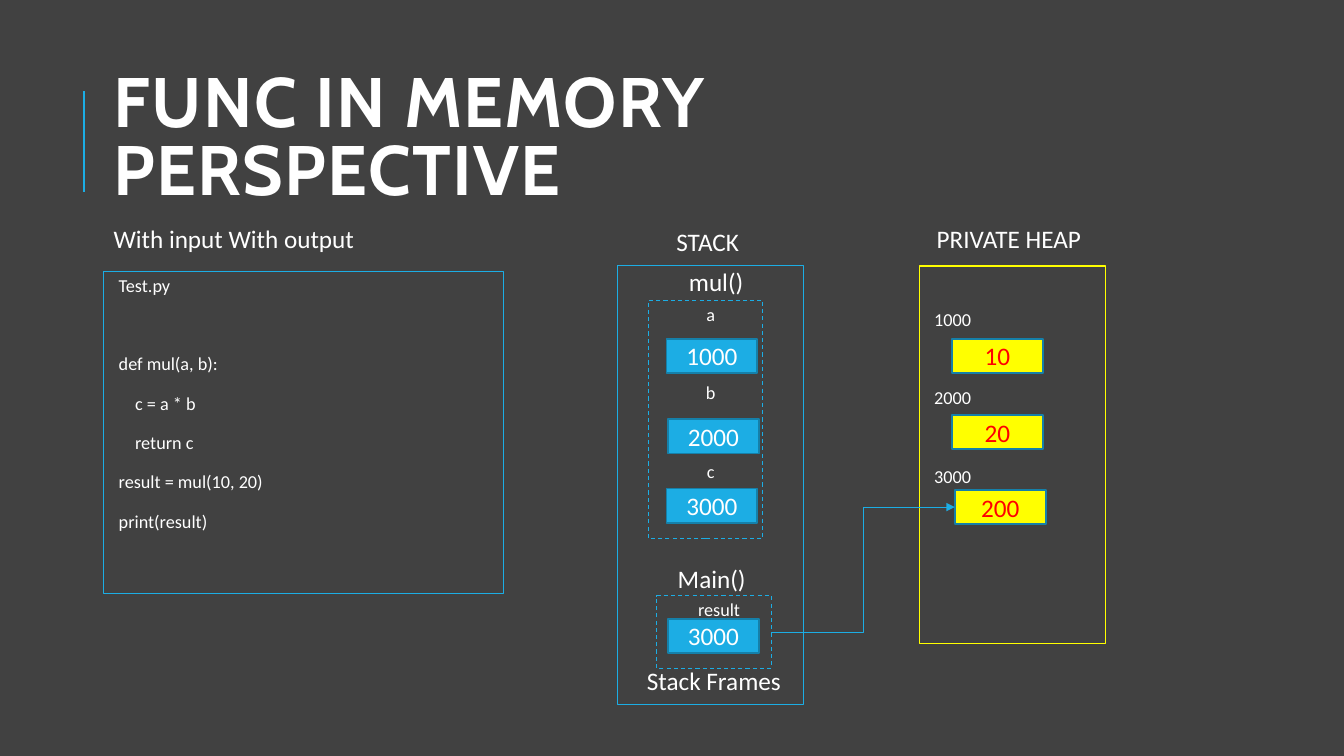
from lxml.etree import SubElement as Sub
from pptx import Presentation
from pptx.dml.color import RGBColor as RGB
from pptx.enum.dml import MSO_LINE as Dash
from pptx.enum.shapes import MSO_CONNECTOR as Conn, MSO_SHAPE as Kind
from pptx.enum.text import MSO_ANCHOR as Anchor, MSO_AUTO_SIZE as Auto, PP_ALIGN as Align
from pptx.oxml.ns import qn
from pptx.util import Pt

COLORS = {"back": "414141", "blue": "1CADE4", "edge": "1580A9",
          "yellow": "FFFF00", "red": "FF0000", "white": "FFFFFF"}

# Content: (text, whether an empty row stands above it)
TITLE = "FUNC IN MEMORY PERSPECTIVE"
CODE = [("Test.py", False), ("def mul(a, b):", True), ("    c = a * b", False),
        ("    return c", False), ("result = mul(10, 20)", False), ("print(result)", False)]
HEAP = [("1000", True), ("2000", True), ("3000", True)]
MUL = [("a", False), ("b", True), ("c", True)]
MAIN = [("result", False)]

# Text, left, top, width
LABELS = [("STACK", 476, 158, 65), ("PRIVATE HEAP", 662, 156, 122),
          ("mul()", 485, 187, 65), ("Main()", 477, 399, 65),
          ("Stack Frames", 455, 472, 125), ("With input With output", 74, 156, 306)]
# Text, left, top
NAMES = [("1000", 476, 242), ("2000", 477, 299.5), ("3000", 476, 349), ("3000", 477, 442)]
VALUES = [("10", 680, 242), ("20", 680, 296.5), ("200", 682, 350)]

ROW, GAP, INSET = 28, 12, 3.6


def paint(part, name):
    part.fore_color.rgb = RGB.from_string(COLORS[name])


def style(para, size, color="white", face="Calibri"):
    for run in para.runs:
        run.font.name, run.font.size = face, Pt(size)
        run.font.color.rgb = RGB.from_string(COLORS[color])


def outline(shape, color, width=0.75):
    shape.line.color.rgb = RGB.from_string(COLORS[color])
    shape.line.width = Pt(width)


def place(shape, *box):
    shape.left, shape.top, shape.width, shape.height = map(Pt, box)


def fill_rows(shape, rows, align=Align.LEFT):
    frame = shape.text_frame
    frame.text = "\n".join(text for text, _ in rows)
    frame.word_wrap, frame.auto_size = True, Auto.NONE
    frame.vertical_anchor = Anchor.TOP
    frame.margin_left = frame.margin_right = frame.margin_bottom = Pt(INSET)
    frame.margin_top = Pt(INSET + ROW * rows[0][1])
    for i, (para, (_, skip)) in enumerate(zip(frame.paragraphs, rows)):
        props = para._p.get_or_add_pPr()
        props.set("marL", str(Pt(7.2)))
        props.set("indent", "0")
        Sub(props, qn("a:buNone"))
        para.alignment, para.line_spacing = align, 0.9
        para.space_before = Pt(GAP + ROW * skip if i else 0)
        para.space_after = Pt(2)
        style(para, 13)


def add_rect(*box):
    shape = slide.shapes.add_shape(Kind.RECTANGLE, *map(Pt, box))
    shape.shadow.inherit = False
    return shape


def add_frame(box, color, rows=None, align=Align.LEFT, dash=None):
    shape = add_rect(*box)
    shape.fill.background()
    outline(shape, color)
    if dash:
        shape.line.dash_style = dash
    if rows:
        fill_rows(shape, rows, align)
    return shape


def add_cell(text, left, top, fill, color):
    shape = add_rect(left, top, 65, 24.5)
    shape.fill.solid()
    paint(shape.fill, fill)
    outline(shape, "edge", 1.25)
    frame = shape.text_frame
    frame.text, frame.vertical_anchor = text, Anchor.MIDDLE
    frame.paragraphs[0].alignment = Align.CENTER
    style(frame.paragraphs[0], 18, color)
    return shape


def add_line(kind, *ends, width=0.75):
    line = slide.shapes.add_connector(kind, *map(Pt, ends))
    outline(line, "blue", width)
    Sub(line._element.spPr, qn("a:effectLst"))
    return line


deck = Presentation()
deck.slide_width, deck.slide_height = Pt(960), Pt(540)
slide = deck.slides.add_slide(deck.slide_layouts[1])
slide.background.fill.solid()
paint(slide.background.fill, "back")

# Title with its bar
title, body = slide.placeholders
place(title, 74, 42, 765, 118)
title.text_frame.text = TITLE
title.text_frame.word_wrap, title.text_frame.auto_size = True, Auto.NONE
title.text_frame.vertical_anchor = Anchor.MIDDLE
head = title.text_frame.paragraphs[0]
head.alignment, head.line_spacing = Align.LEFT, 0.8
style(head, 50, face="Cabin")
head.runs[0].font.bold = True
head.runs[0].font._element.set("spc", "100")
add_line(Conn.STRAIGHT, 60, 137, 60, 65, width=1.5)

# Code listing
place(body, 74, 194, 286, 230)
outline(body, "blue")
fill_rows(body, CODE)

# Stack, heap and the two stack frames
add_frame((441, 189.5, 133, 314), "blue")
add_frame((656.5, 190, 133, 270), "yellow", HEAP)
add_frame((463, 214.5, 82, 170), "blue", MUL, Align.CENTER, Dash.DASH)
main = add_frame((469, 425.5, 82, 52), "blue", MAIN, Align.CENTER, Dash.DASH)

# Labels
for text, left, top, width in LABELS:
    box = slide.shapes.add_textbox(Pt(left), Pt(top), Pt(width), Pt(29))
    box.text_frame.word_wrap = True
    box.text_frame.text = text
    style(box.text_frame.paragraphs[0], 18)

# Cells of the stack and the heap
for cell in NAMES:
    add_cell(*cell, "blue", "white")
values = [add_cell(*cell, "yellow", "red") for cell in VALUES]

# Arrow from the main frame to the last heap value
arrow = add_line(Conn.ELBOW, 551, 451.5, 682, 362)
arrow.begin_connect(main, 3)
arrow.end_connect(values[-1], 1)
Sub(arrow.line._get_or_add_ln(), qn("a:tailEnd"), type="triangle")

deck.save("out.pptx")
